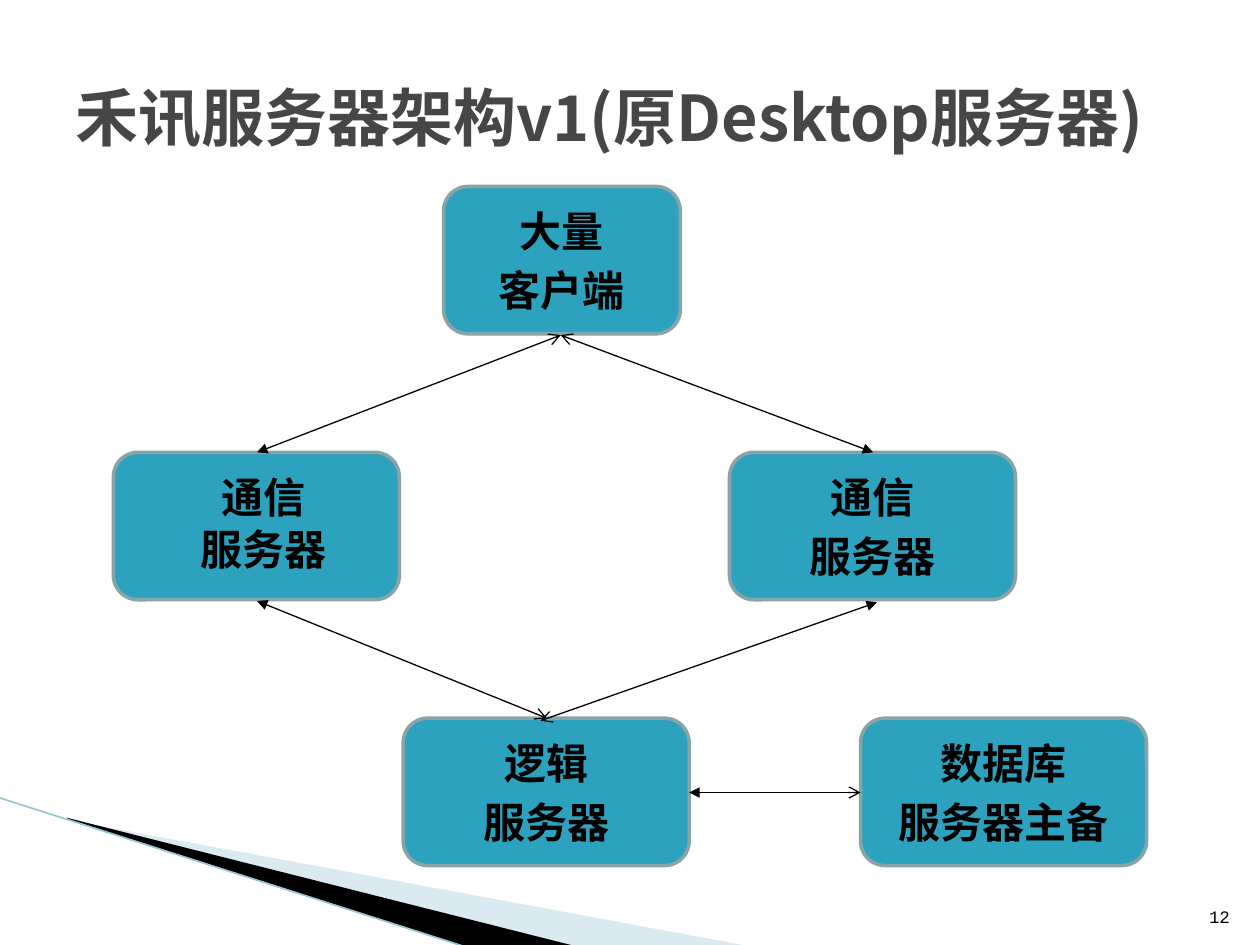
from dataclasses import dataclass

from lxml import etree
from pptx import Presentation
from pptx.dml.color import RGBColor
from pptx.enum.shapes import MSO_CONNECTOR, MSO_SHAPE
from pptx.enum.text import MSO_ANCHOR, PP_ALIGN
from pptx.oxml.ns import qn
from pptx.util import Inches, Pt

STRAIGHT = MSO_CONNECTOR.STRAIGHT
ROUNDED = MSO_SHAPE.ROUNDED_RECTANGLE
MIDDLE, BOTTOM = MSO_ANCHOR.MIDDLE, MSO_ANCHOR.BOTTOM
LEFT, CENTER, RIGHT = PP_ALIGN.LEFT, PP_ALIGN.CENTER, PP_ALIGN.RIGHT

BLACK = RGBColor(0x00, 0x00, 0x00)
TITLE_GRAY = RGBColor(0x46, 0x46, 0x46)
TEAL = RGBColor(0x2D, 0xA2, 0xBF)
BORDER = RGBColor(0x89, 0xA4, 0xA7)
PALE_BLUE = RGBColor(0xA0, 0xCB, 0xDC)
EDGE_BLUE = RGBColor(0x97, 0xC5, 0xD8)

FONT = "Noto Sans CJK SC"
NUMBER_FONT = "Courier New"
NODE_HEIGHT = 1.17
SERVER_WIDTH = 2.27

Point = tuple[float, float]


@dataclass
class Node:
    lines: tuple[str, str]
    left: float
    top: float
    width: float = SERVER_WIDTH
    margin: float = 0.38
    indent: float = -0.38
    line_spacing: float = 1.0
    space_before: float = 4.8


@dataclass
class Link:
    start: Point
    end: Point


NODES = [
    Node(("大量", "客户端"), 3.52, 1.48, width=1.88),
    Node(("通信", "服务器"), 0.9, 3.59, margin=0.4, indent=-0.28,
         line_spacing=0.9, space_before=4),
    Node(("通信", "服务器"), 5.79, 3.59),
    Node(("逻辑", "服务器"), 3.2, 5.7),
    Node(("数据库", "服务器主备"), 6.83, 5.7),
]

LINKS = [
    Link((2.04, 3.59), (4.45, 2.66)),
    Link((6.93, 3.59), (4.45, 2.66)),
    Link((2.04, 4.77), (4.34, 5.7)),
    Link((6.96, 4.78), (4.29, 5.72)),
    Link((5.47, 6.29), (6.83, 6.29)),
]


def style_paragraph(para, size: float, color: RGBColor, align,
                    font: str = FONT, bold: bool = False) -> None:
    para.alignment = align
    para.font.size = Pt(size)
    para.font.bold = bold
    para.font.color.rgb = color
    para.font.name = font
    for span in para.runs:
        east_asian = etree.SubElement(span._r.get_or_add_rPr(), qn("a:ea"))
        east_asian.set("typeface", font)


def add_text(page, text: str, area: tuple, anchor, size: float,
             color: RGBColor, align, font: str = FONT, bold: bool = False) -> None:
    box = page.shapes.add_textbox(*(Inches(value) for value in area))
    frame = box.text_frame
    frame.word_wrap = True
    frame.vertical_anchor = anchor
    frame.text = text
    style_paragraph(frame.paragraphs[0], size, color, align, font, bold)


def add_wedge(page, points: list[Point], color: RGBColor, opacity: int = 100) -> None:
    corners = [(Inches(x), Inches(y)) for x, y in points]
    builder = page.shapes.build_freeform(*corners[0])
    builder.add_line_segments(corners[1:], close=True)
    wedge = builder.convert_to_shape()
    wedge.shadow.inherit = False
    wedge.fill.solid()
    wedge.fill.fore_color.rgb = color
    wedge.line.fill.background()
    if opacity < 100:
        color_node = wedge._element.spPr.find(qn("a:solidFill"))[0]
        etree.SubElement(color_node, qn("a:alpha")).set("val", str(opacity * 1000))


def add_line(page, start: Point, end: Point, color: RGBColor, width: float,
             arrows: bool = False) -> None:
    line = page.shapes.add_connector(
        STRAIGHT, *(Inches(value) for value in (*start, *end)))
    line.line.color.rgb = color
    line.line.width = Pt(width)
    if arrows:
        outline = line.line._get_or_add_ln()
        etree.SubElement(outline, qn("a:headEnd")).set("type", "triangle")
        etree.SubElement(outline, qn("a:tailEnd")).set("type", "arrow")
    etree.SubElement(line._element.spPr, qn("a:effectLst"))


def add_node(page, node: Node) -> None:
    area = (node.left, node.top, node.width, NODE_HEIGHT)
    box = page.shapes.add_shape(ROUNDED, *(Inches(value) for value in area))
    box.shadow.inherit = False
    box.fill.solid()
    box.fill.fore_color.rgb = TEAL
    box.line.color.rgb = BORDER
    box.line.width = Pt(2)
    frame = box.text_frame
    frame.word_wrap = True
    frame.vertical_anchor = MIDDLE
    frame.text = "\n".join(node.lines)
    for para in frame.paragraphs:
        style_paragraph(para, 24, BLACK, CENTER, bold=True)
        para.line_spacing = node.line_spacing
        para.space_before = Pt(node.space_before)
        properties = para._p.get_or_add_pPr()
        properties.set("marL", str(Inches(node.margin)))
        properties.set("indent", str(Inches(node.indent)))


deck = Presentation()
deck.slide_width, deck.slide_height = Inches(10), Inches(7.5)
page = deck.slides.add_slide(deck.slide_layouts[6])

# Corner decoration
add_wedge(page, [(0.55, 6.51), (5.95, 7.51), (4.56, 7.51), (0.55, 6.5)], PALE_BLUE, 40)
add_wedge(page, [(0.53, 6.49), (4.57, 7.51), (3.72, 7.52), (0.54, 6.5)], BLACK)
add_line(page, (-0.01, 6.33), (3.71, 7.52), EDGE_BLUE, 0.95)

# Title
add_text(page, "禾讯服务器架构v1(原Desktop服务器)", (0.5, 0.3, 9, 1.25),
         MIDDLE, 36, TITLE_GRAY, LEFT, bold=True)

# Architecture diagram
for node in NODES:
    add_node(page, node)
for link in LINKS:
    add_line(page, link.start, link.end, BLACK, 0.75, arrows=True)

# Page number
add_text(page, "12", (9.46, 7.01, 0.4, 0.4), BOTTOM, 10, BLACK, RIGHT, NUMBER_FONT)

deck.save("out.pptx")
